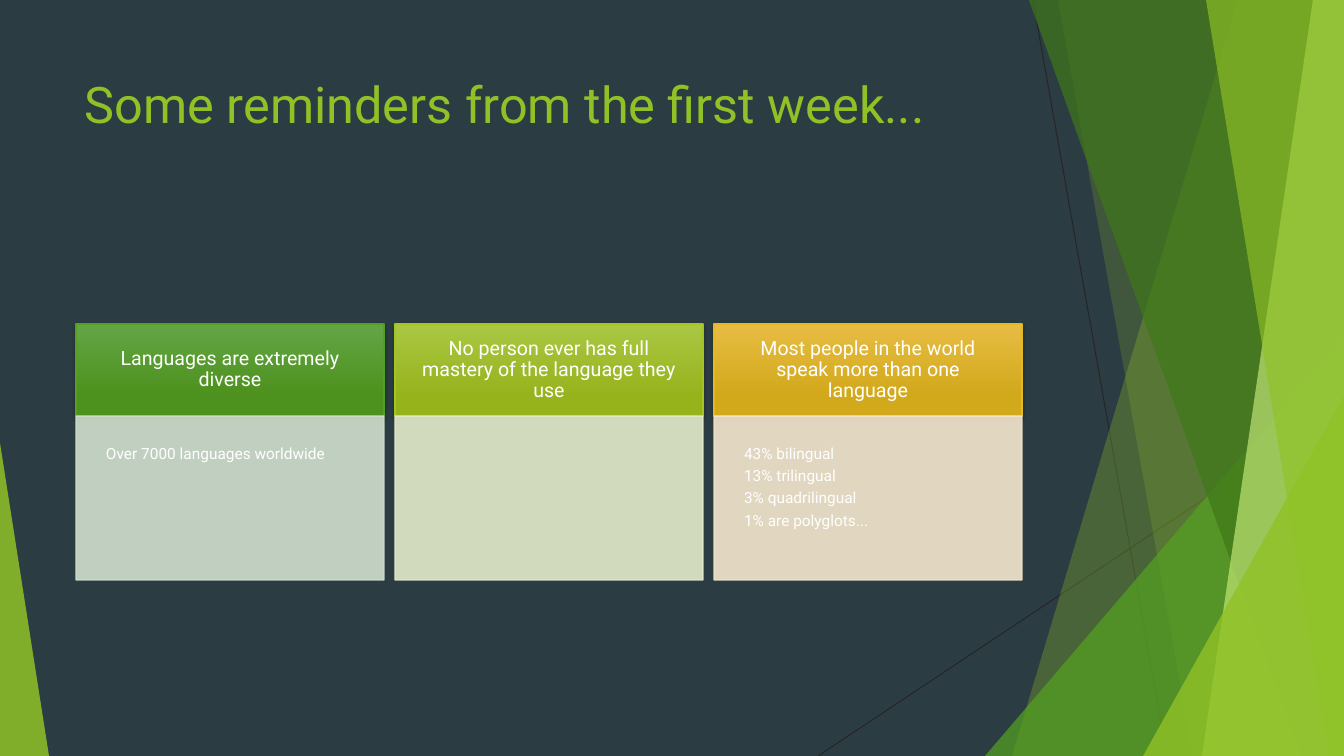
from lxml.etree import SubElement as Sub
from pptx import Presentation
from pptx.dml.color import RGBColor
from pptx.enum.shapes import MSO_CONNECTOR as Conn, MSO_SHAPE as Shape
from pptx.enum.text import MSO_ANCHOR as Anchor, PP_ALIGN as Align
from pptx.oxml.ns import qn
from pptx.util import Pt

PX = 914400 / 100.8
WIDE, HIGH = 1344, 756
FONT = "Roboto"
HUES = {
    "back": "2C3C43", "white": "FFFFFF", "line": "262626", "shade": "000000",
    "lime": "90C226", "green": "54A021", "dark": "3F7819", "pale": "C0E474",
}
TITLE = "Some reminders from the first week..."
# Heading, body lines, gradient top, gradient foot, edge, body fill
CARDS = [
    ("Languages are extremely diverse", ["Over 7000 languages worldwide"],
     "63A545", "4D921E", "54A021", "D1DFCD"),
    ("No person ever has full mastery of the language they use", [],
     "AAC744", "97B31C", "A5C41F", "E5ECCB"),
    ("Most people in the world speak more than one language",
     ["43% bilingual", "13% trilingual", "3% quadrilingual", "1% are polyglots..."],
     "E7BC43", "D2A91B", "E6B91E", "F5E7CD"),
]
LINES = [(1033, 0, 1167, HIGH), (WIDE, 406, 818, HIGH)]
# shard: left edge at top, left edge at foot; wedge: left, top, width, apex
FACETS = [
    ("shard", "lime", 30, (1238, 1012)),
    ("shard", "lime", 20, (1058, 1193)),
    ("wedge", "green", 72, (985, 336, 359, 1)),
    ("shard", "dark", 70, (1029, 1301)),
    ("shard", "pale", 70, (1313, 1202)),
    ("shard", "lime", 65, (1206, 1329)),
    ("wedge", "lime", 80, (1143, 396, 201, 1)),
    ("wedge", "lime", 85, (0, 443, 49, 0)),
]
LEFT, TOP, STEP, CARD = 76, 324, 319, 308
HEAD, BODY = 92, 164

deck = Presentation()
deck.slide_width, deck.slide_height = round(WIDE * PX), round(HIGH * PX)
slide = deck.slides.add_slide(deck.slide_layouts[6])
shapes = slide.shapes


def rgb(hue):
    return RGBColor.from_string(HUES.get(hue, hue))


def emu(*sizes):
    return [round(size * PX) for size in sizes]


def tint(fill, hue, alpha):
    """Fill with a colour of the given opacity in percent."""
    fill.solid()
    fill.fore_color.rgb = rgb(hue)
    color = fill._xPr.find(qn("a:solidFill"))[0]
    Sub(color, qn("a:alpha"), val=str(alpha * 1000))


def write(shape, lines, size, pad, align, anchor, hue="white", lead=0.9):
    frame = shape.text_frame
    frame.word_wrap = True
    frame.vertical_anchor = anchor
    frame.margin_left, frame.margin_top, frame.margin_right, frame.margin_bottom = emu(*pad)
    frame.text = "\n".join(lines)
    for para in frame.paragraphs:
        para.alignment = align
        para.line_spacing = lead
        para.space_after = Pt(round(size * 0.35))
        para.font.name, para.font.size = FONT, Pt(size)
        para.font.color.rgb = rgb(hue)


def panel(x, y, high, edge):
    box = shapes.add_shape(Shape.RECTANGLE, *emu(x, y, CARD, high))
    box.shadow.inherit = False
    box.line.width = Pt(1)
    box.line.color.rgb = rgb(edge)
    return box


def glow(box):
    """Cast a soft shadow below the box."""
    cast = Sub(box._element.spPr.find(qn("a:effectLst")), qn("a:outerShdw"),
               blurRad=str(Pt(3)), dist=str(Pt(2)), dir="5400000", rotWithShape="0")
    color = Sub(cast, qn("a:srgbClr"), val=HUES["shade"])
    Sub(color, qn("a:alpha"), val="35000")


def shard(top, foot):
    pen = shapes.build_freeform(top, 0, scale=PX)
    pen.add_line_segments([(WIDE, 0), (WIDE, HIGH), (foot, HIGH)])
    return pen.convert_to_shape()


def wedge(x, y, wide, apex):
    shape = shapes.add_shape(Shape.ISOSCELES_TRIANGLE, *emu(x, y, wide, HIGH - y))
    shape.adjustments[0] = apex
    return shape


slide.background.fill.solid()
slide.background.fill.fore_color.rgb = rgb("back")

for ends in LINES:
    line = shapes.add_connector(Conn.STRAIGHT, *emu(*ends))
    line.line.color.rgb = rgb("line")
    line.line.width = Pt(0.75)
    Sub(line._element.spPr, qn("a:effectLst"))

for kind, hue, alpha, spots in FACETS:
    facet = {"shard": shard, "wedge": wedge}[kind](*spots)
    facet.shadow.inherit = False
    facet.line.fill.background()
    tint(facet.fill, hue, alpha)

title = shapes.add_textbox(*emu(75, 68, 948, 145))
write(title, [TITLE], 36, (10, 5, 10, 5), Align.LEFT, Anchor.TOP, "lime", 1)

for i, (head, lines, light, deep, edge, pale) in enumerate(CARDS):
    x = LEFT + i * STEP
    top = panel(x, TOP, HEAD, edge)
    top.fill.gradient()
    top.fill.gradient_angle = 270
    for stop, hue, place in zip(top.fill.gradient_stops, (light, deep), (0, 0.78)):
        stop.color.rgb = rgb(hue)
        stop.position = place
    glow(top)
    write(top, [head], 14, [24] * 4, Align.CENTER, Anchor.MIDDLE)

    body = panel(x, TOP + HEAD, BODY, pale)
    tint(body.fill, pale, 90)
    tint(body.line.fill, pale, 90)
    if lines:
        write(body, lines, 11, [30] * 4, Align.LEFT, Anchor.TOP)

deck.save("out.pptx")
